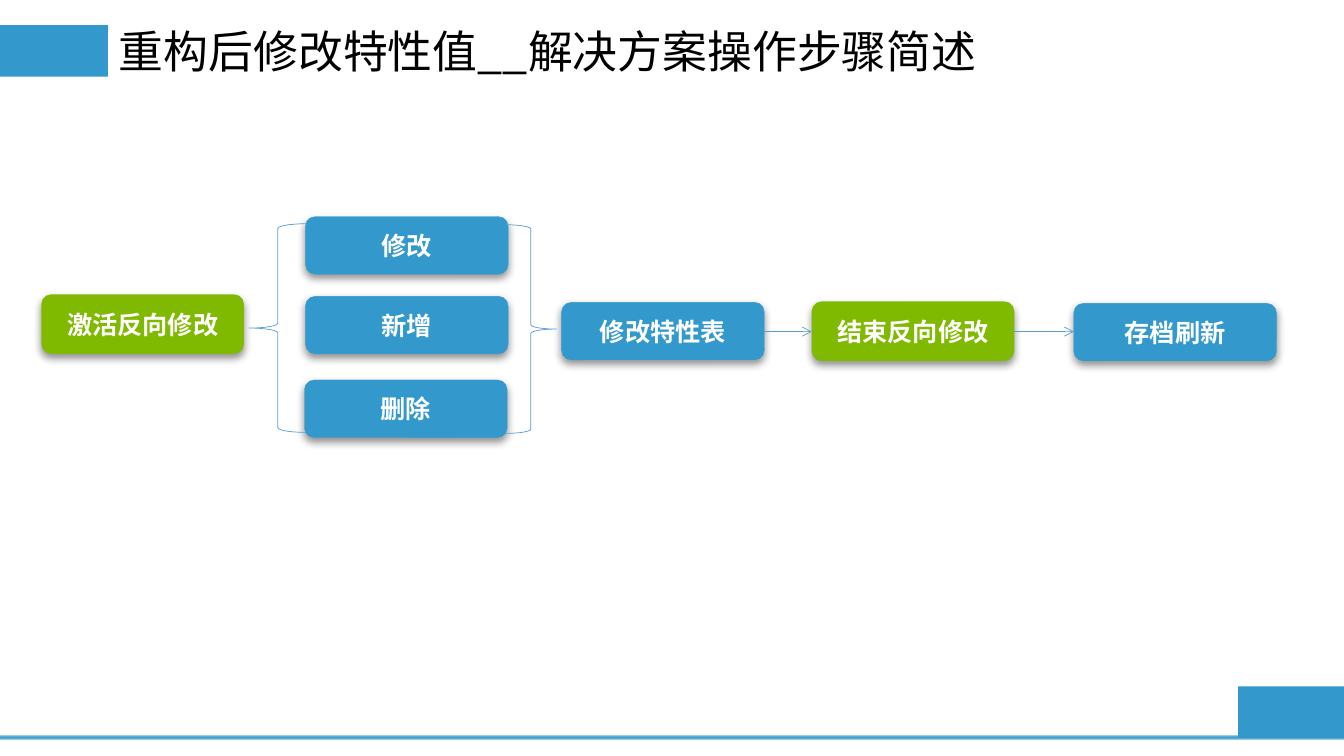
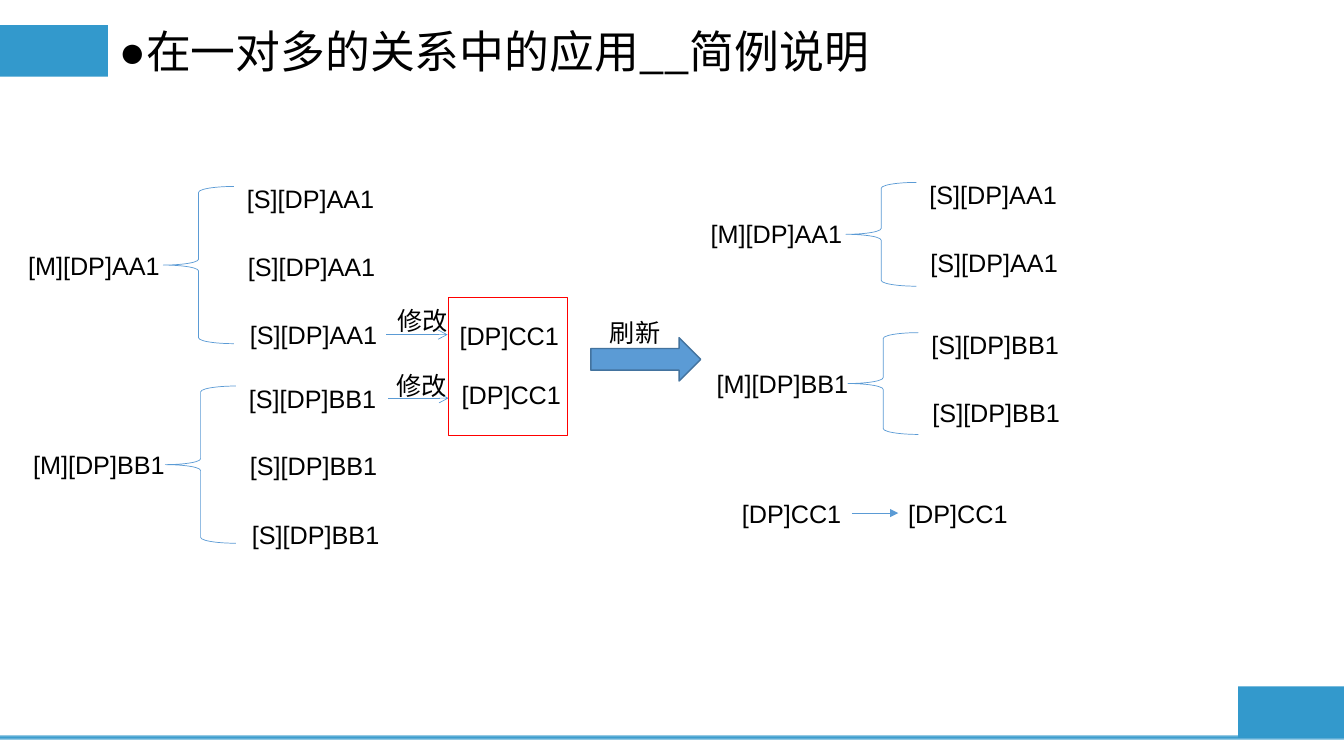
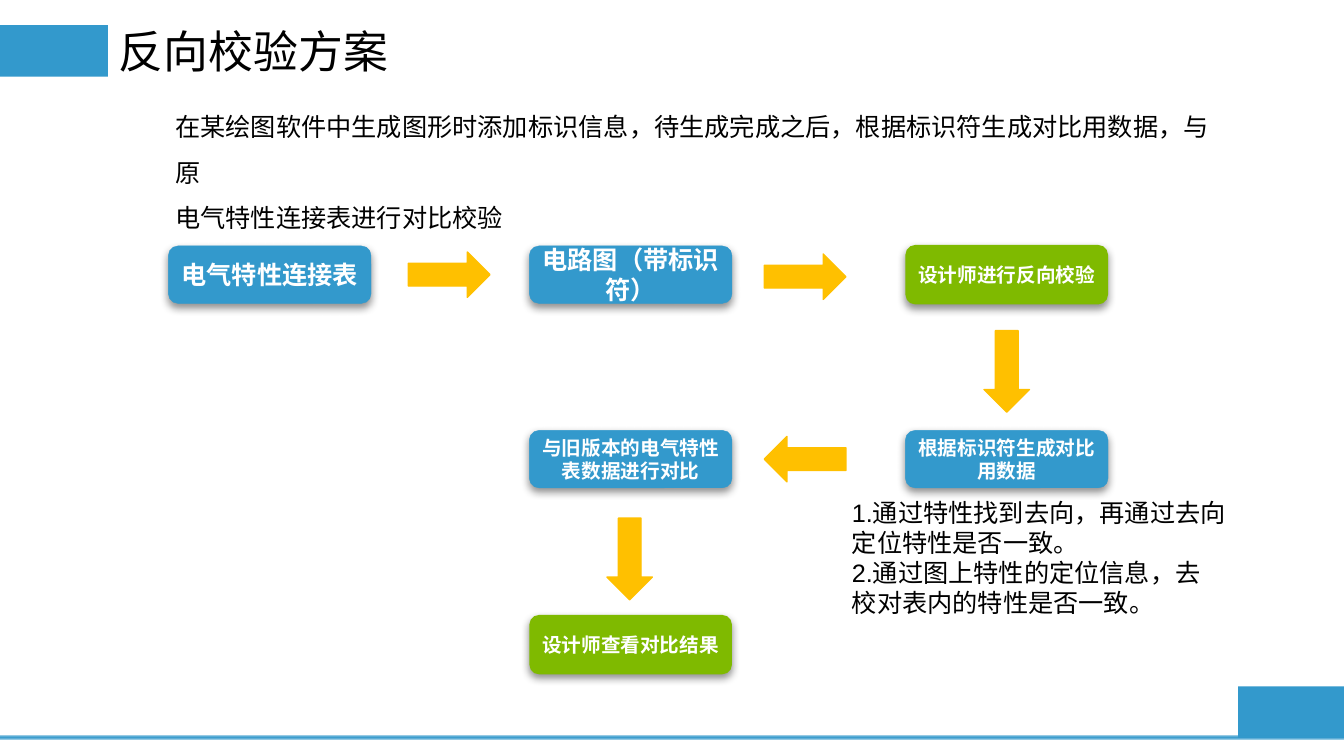
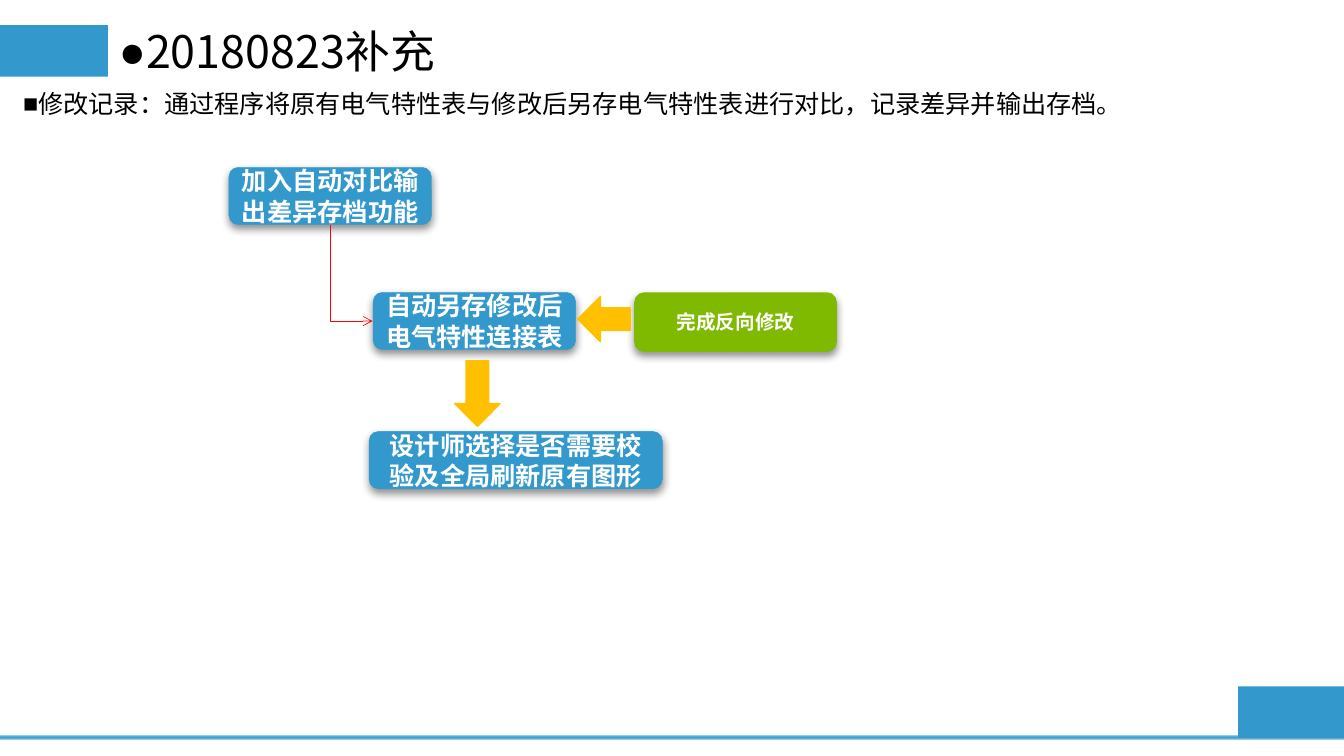
from dataclasses import dataclass
from typing import Optional

from pptx import Presentation
from pptx import util as u
from pptx.dml.color import RGBColor
from pptx.enum import shapes, text
from pptx.oxml import parse_xml
from pptx.oxml.ns import nsdecls, qn

PX = 9144  # 100 px to the inch
BLUE = RGBColor(0x33, 0x99, 0xCC)
GREEN = RGBColor(0x7F, 0xBA, 0x00)
ORANGE = RGBColor(0xFF, 0xC0, 0x00)
RED = RGBColor(0xFF, 0x00, 0x00)
BLACK = RGBColor(0x00, 0x00, 0x00)
WHITE = RGBColor(0xFF, 0xFF, 0xFF)
LINE_BLUE = RGBColor(0x5B, 0x9B, 0xD5)
EDGE_BLUE = RGBColor(0x43, 0x73, 0x9E)
HEADING_FONT = "Noto Sans CJK SC"
BODY_FONT = "Arial"
GEOMETRY = shapes.MSO_SHAPE


@dataclass
class Node:
    """A rounded step of a flow."""
    left: int
    top: int
    label: str
    size: int = 18
    green: bool = False
    width: int = 201


@dataclass
class BlockArrow:
    """A thick arrow, turned clockwise by an angle."""
    left: int
    top: int
    width: int = 81
    angle: int = 0


@dataclass
class Branch:
    """A parent label, a brace and the child labels beside it."""
    parent_left: int
    left: int
    top: int
    height: int
    code: str
    children: int


@dataclass
class Label:
    left: int
    top: int
    width: int
    label: str


def px(*lengths: int) -> list[u.Emu]:
    return [u.Emu(length * PX) for length in lengths]


# Shared building blocks
def write(shape, lines: list[str], size: int, font: str, color: RGBColor,
          bold: bool = False, align=text.PP_ALIGN.LEFT,
          spacing: Optional[float] = None, bullet: str = "") -> None:
    frame = shape.text_frame
    frame.text = "\n".join(lines)
    for paragraph in frame.paragraphs:
        paragraph.alignment = align
        paragraph.line_spacing = spacing
        paragraph.font.size = u.Pt(size)
        paragraph.font.name = font
        paragraph.font.bold = bold
        paragraph.font.color.rgb = color
    for latin in shape.element.iter(qn("a:latin")):
        latin.addnext(parse_xml(f'<a:ea {nsdecls("a")} typeface="{HEADING_FONT}"/>'))
    if bullet:
        for properties in shape.element.iter(qn("a:defRPr")):
            properties.addprevious(parse_xml(
                f'<a:buFont {nsdecls("a")} typeface="{BODY_FONT}"/>'))
            properties.addprevious(parse_xml(
                f'<a:buChar {nsdecls("a")} char="{bullet}"/>'))


def add_shape(slide, kind, left: int, top: int, width: int, height: int,
              fill: Optional[RGBColor] = None, line: Optional[RGBColor] = None,
              weight: float = 1):
    shape = slide.shapes.add_shape(kind, *px(left, top, width, height))
    shape.shadow.inherit = False
    if fill is None:
        shape.fill.background()
    else:
        shape.fill.solid()
        shape.fill.fore_color.rgb = fill
    if line is None:
        shape.line.fill.background()
    else:
        shape.line.color.rgb = line
        shape.line.width = u.Pt(weight)
    return shape


def add_node(slide, node: Node) -> None:
    fill, line, height = (GREEN, None, 59) if node.green else (BLUE, BLUE, 57)
    shape = add_shape(slide, GEOMETRY.ROUNDED_RECTANGLE, node.left, node.top,
                      node.width, height, fill, line, 0.25)
    effects = next(shape.element.iter(qn("a:effectLst")))
    effects.append(parse_xml(
        f'<a:outerShdw {nsdecls("a")} blurRad="{u.Pt(6)}" dist="{u.Pt(3)}" '
        'dir="5400000" rotWithShape="0"><a:srgbClr val="000000">'
        '<a:alpha val="43000"/></a:srgbClr></a:outerShdw>'))
    write(shape, [node.label], node.size, HEADING_FONT, WHITE, True,
          text.PP_ALIGN.CENTER)


def add_block_arrow(slide, arrow: BlockArrow) -> None:
    shape = add_shape(slide, GEOMETRY.RIGHT_ARROW, arrow.left, arrow.top,
                      arrow.width, 45, ORANGE, ORANGE)
    shape.rotation = arrow.angle


def add_arrow(slide, start: tuple[int, int], end: tuple[int, int],
              color: RGBColor = LINE_BLUE, head: str = "arrow",
              kind=shapes.MSO_CONNECTOR.STRAIGHT):
    connector = slide.shapes.add_connector(kind, *px(*start, *end))
    connector.line.color.rgb = color
    connector.line.width = u.Pt(0.5)
    outline = next(connector.element.iter(qn("a:ln")))
    outline.append(parse_xml(f'<a:tailEnd {nsdecls("a")} type="{head}"/>'))
    outline.addnext(parse_xml(f'<a:effectLst {nsdecls("a")}/>'))
    return connector


def add_text(slide, left: int, top: int, width: int, height: int,
             lines: list[str], wrap: bool = True,
             spacing: Optional[float] = None, bullet: str = "") -> None:
    box = slide.shapes.add_textbox(*px(left, top, width, height))
    box.text_frame.word_wrap = wrap
    box.text_frame.auto_size = text.MSO_AUTO_SIZE.SHAPE_TO_FIT_TEXT
    write(box, lines, 18, BODY_FONT, BLACK, spacing=spacing, bullet=bullet)


def add_label(slide, label: Label) -> None:
    add_text(slide, label.left, label.top, label.width, 40, [label.label], wrap=False)


def add_branch(slide, branch: Branch) -> None:
    add_shape(slide, GEOMETRY.LEFT_BRACE, branch.left, branch.top, 70,
              branch.height, line=LINE_BLUE, weight=0.5)
    add_label(slide, Label(branch.parent_left, branch.top + branch.height // 2 - 20,
                           152, f"[M][DP]{branch.code}"))
    for index in range(branch.children):
        add_label(slide, Label(branch.left + 73 + 3 * index // 2,
                               branch.top - 8 + 135 * index // 2,
                               148, f"[S][DP]{branch.code}"))


def add_titled_slide(presentation, title: str, bullet: str = ""):
    slide = presentation.slides.add_slide(presentation.slide_layouts[5])
    shape = slide.shapes.title
    shape.left, shape.top, shape.width, shape.height = px(108, 16, 1150, 76)
    shape.text_frame.vertical_anchor = text.MSO_ANCHOR.MIDDLE
    shape.text_frame.auto_size = text.MSO_AUTO_SIZE.NONE
    write(shape, [title], 32, HEADING_FONT, BLACK, spacing=0.9, bullet=bullet)
    return slide


def move_bands_to_layout(slide) -> None:
    """Draw the bands and hand them to the layout that all slides use."""
    layout = slide.slide_layout
    for placeholder in list(layout.placeholders):
        if placeholder.placeholder_format.type != shapes.PP_PLACEHOLDER.TITLE:
            layout.shapes.element.remove(placeholder.element)
    bands = [add_shape(slide, GEOMETRY.RECTANGLE, *box, fill=BLUE)
             for box in ((0, 25, 107, 51), (1228, 681, 107, 51), (0, 730, 1333, 4))]
    solid = next(bands[-1].element.iter(qn("a:solidFill")))
    faded = f'<a:srgbClr val="{BLUE}"><a:alpha val="50000"/></a:srgbClr>'
    solid.getparent().replace(solid, parse_xml(
        f'<a:gradFill {nsdecls("a")}><a:gsLst><a:gs pos="0">{faded}</a:gs>'
        f'<a:gs pos="48000"><a:srgbClr val="{BLUE}"/></a:gs>'
        f'<a:gs pos="100000">{faded}</a:gs></a:gsLst>'
        '<a:lin ang="5400000" scaled="0"/></a:gradFill>'))
    for band in bands:
        layout.shapes.element.append(band.element)


# Slides
def build_steps(presentation) -> None:
    slide = add_titled_slide(presentation, "重构后修改特性值__解决方案操作步骤简述")
    move_bands_to_layout(slide)
    for node in (
        Node(41, 292, "激活反向修改", green=True),
        Node(303, 215, "修改"),
        Node(303, 294, "新增"),
        Node(302, 377, "删除"),
        Node(557, 300, "修改特性表"),
        Node(805, 299, "结束反向修改", green=True),
        Node(1065, 301, "存档刷新"),
    ):
        add_node(slide, node)
    for kind, left, top, width in ((GEOMETRY.LEFT_BRACE, 247, 222, 57),
                                   (GEOMETRY.RIGHT_BRACE, 501, 223, 51)):
        add_shape(slide, kind, left, top, width, 207, line=LINE_BLUE, weight=0.5)
    for start, end in ((758, 805), (1006, 1065)):
        add_arrow(slide, (start, 329), (end, 329))


def build_example(presentation) -> None:
    slide = add_titled_slide(presentation, "在一对多的关系中的应用__简例说明", "●")
    for branch in (
        Branch(18, 162, 185, 156, "AA1", 3),
        Branch(23, 164, 383, 156, "BB1", 3),
        Branch(695, 839, 181, 103, "AA1", 2),
        Branch(701, 841, 330, 101, "BB1", 2),
    ):
        add_branch(slide, branch)
    add_arrow(slide, (383, 332), (444, 332))
    add_arrow(slide, (385, 395), (445, 395))
    add_arrow(slide, (845, 509), (891, 509), head="triangle")
    add_shape(slide, GEOMETRY.RECTANGLE, 445, 295, 118, 137, line=RED)
    add_shape(slide, GEOMETRY.RIGHT_ARROW, 586, 335, 109, 43, LINE_BLUE, EDGE_BLUE)
    for left, top in ((446, 313), (448, 371), (726, 489), (891, 489)):
        add_label(slide, Label(left, top, 120, "[DP]CC1"))
    for left, top, word in ((595, 310, "刷新"), (384, 298, "修改"), (383, 362, "修改")):
        add_label(slide, Label(left, top, 71, word))


def build_check(presentation) -> None:
    slide = add_titled_slide(presentation, "反向校验方案")
    for arrow in (
        BlockArrow(405, 250),
        BlockArrow(758, 252),
        BlockArrow(958, 346, angle=90),
        BlockArrow(758, 433, angle=180),
        BlockArrow(584, 532, angle=90),
    ):
        add_block_arrow(slide, arrow)
    for node in (
        Node(167, 244, "电气特性连接表"),
        Node(525, 244, "电路图（带标识符）"),
        Node(898, 243, "设计师进行反向校验", 14, green=True),
        Node(898, 427, "根据标识符生成对比用数据", 14),
        Node(525, 427, "与旧版本的电气特性表数据进行对比", 14),
        Node(525, 610, "设计师查看对比结果", 14, green=True),
    ):
        add_node(slide, node)
    add_text(slide, 164, 91, 1059, 96, [
        "在某绘图软件中生成图形时添加标识信息，待生成完成之后，根据标识符生成对比用数据，与原",
        "电气特性连接表进行对比校验",
    ], spacing=1.5)
    add_text(slide, 835, 488, 395, 131, [
        "1.通过特性找到去向，再通过去向",
        "定位特性是否一致。",
        "2.通过图上特性的定位信息，去",
        "校对表内的特性是否一致。",
    ])


def build_supplement(presentation) -> None:
    slide = add_titled_slide(presentation, "20180823补充", "●")
    add_text(slide, 13, 83, 1125, 40, [
        "修改记录：通过程序将原有电气特性表与修改后另存电气特性表进行对比，记录差异并输出存档。",
    ], bullet="■")
    for node in (
        Node(227, 166, "加入自动对比输出差异存档功能"),
        Node(370, 290, "自动另存修改后电气特性连接表"),
        Node(629, 290, "完成反向修改", 14, green=True),
        Node(366, 428, "设计师选择是否需要校验及全局刷新原有图形", width=291),
    ):
        add_node(slide, node)
    add_block_arrow(slide, BlockArrow(441, 368, 65, 90))
    add_block_arrow(slide, BlockArrow(573, 294, 52, 180))
    # One-bend connector: down from the first node, then right
    elbow = add_arrow(slide, (301, 250), (396, 292), RED,
                      kind=shapes.MSO_CONNECTOR.ELBOW)
    frame = next(elbow.element.iter(qn("a:xfrm")))
    frame.set("rot", "16200000")
    frame.set("flipH", "1")
    next(elbow.element.iter(qn("a:prstGeom"))).set("prst", "bentConnector2")


def main() -> None:
    presentation = Presentation()
    presentation.slide_width, presentation.slide_height = px(1333, 750)
    for build in (build_steps, build_example, build_check, build_supplement):
        build(presentation)
    presentation.save("out.pptx")


if __name__ == "__main__":
    main()
